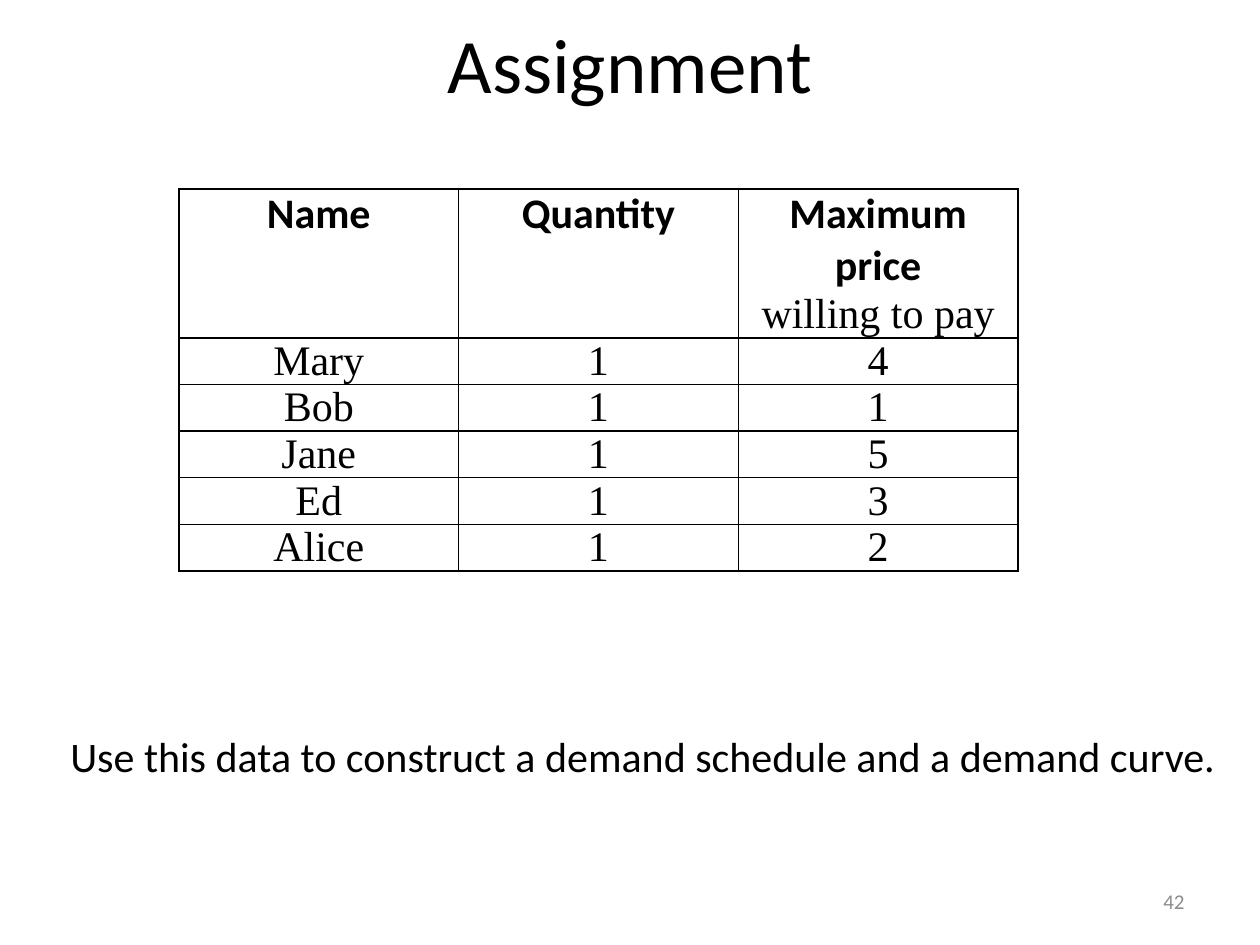
from dataclasses import dataclass

from lxml.etree import SubElement
from pptx import Presentation
from pptx.dml.color import RGBColor
from pptx.enum.text import MSO_ANCHOR as Anchor, PP_ALIGN as Align
from pptx.oxml.ns import qn
from pptx.util import Inches, Pt

# Content
TITLE = "Assignment"
HEADERS = [["Name"], ["Quantity"], ["Maximum price", "willing to pay"]]
BUYERS = [("Mary", 1, 4), ("Bob", 1, 1), ("Jane", 1, 5), ("Ed", 1, 3), ("Alice", 1, 2)]
TASK = "Use this data to construct a demand schedule and a demand curve."
PAGE_NUMBER = "42"


@dataclass(frozen=True)
class Theme:
    ink: str = "000000"
    muted: str = "8C8C8C"
    sans: str = "Calibri"
    serif: str = "Times New Roman"
    title_size: int = 44
    body_size: int = 24
    number_size: int = 12
    border_width: int = 1


THEME = Theme()


def write(paragraph, text, size=THEME.body_size, font=THEME.sans,
          color=THEME.ink, bold=False, align=Align.LEFT):
    paragraph.alignment = align
    run = paragraph.add_run()
    run.text = text
    run.font.size = Pt(size)
    run.font.name = font
    run.font.bold = bold
    run.font.color.rgb = RGBColor.from_string(color)


def add_label(slide, box, text, anchor=Anchor.TOP, wrap=True, **style):
    frame = slide.shapes.add_textbox(*map(Inches, box)).text_frame
    frame.word_wrap = wrap
    frame.vertical_anchor = anchor
    write(frame.paragraphs[0], text, **style)


def add_borders(cell):
    properties = cell._tc.get_or_add_tcPr()
    for position, side in enumerate(("a:lnL", "a:lnR", "a:lnT", "a:lnB")):
        line = properties.makeelement(qn(side), {"w": str(Pt(THEME.border_width))})
        properties.insert(position, line)
        fill = SubElement(line, qn("a:solidFill"))
        SubElement(fill, qn("a:srgbClr"), val=THEME.ink)


def fill_cell(cell, lines, header=False):
    cell.margin_left = cell.margin_right = Inches(0.07)
    cell.margin_top = cell.margin_bottom = 0
    cell.fill.background()
    add_borders(cell)
    frame = cell.text_frame
    for index, line in enumerate(lines):
        paragraph = frame.add_paragraph() if index else frame.paragraphs[0]
        heading = header and index == 0
        write(paragraph, line, font=THEME.sans if heading else THEME.serif,
              bold=heading, align=Align.CENTER)


def add_demand_table(slide):
    header_height, row_height, column_width = 0.72, 0.37, 2.22
    rows = [HEADERS] + [[[str(value)] for value in buyer] for buyer in BUYERS]
    table = slide.shapes.add_table(
        len(rows), len(HEADERS), Inches(1.42), Inches(1.5),
        Inches(column_width * len(HEADERS)),
        Inches(header_height + row_height * len(BUYERS))).table
    table.horz_banding = False
    for column in table.columns:
        column.width = Inches(column_width)
    for r, row in enumerate(rows):
        table.rows[r].height = Inches(row_height if r else header_height)
        for c, lines in enumerate(row):
            fill_cell(table.cell(r, c), lines, header=r == 0)


def main():
    deck = Presentation()
    deck.slide_width, deck.slide_height = Inches(10), Inches(7.5)
    slide = deck.slides.add_slide(deck.slide_layouts[5])

    # Title
    title = slide.shapes.title
    title.left, title.top, title.width, title.height = map(Inches, (0.5, 0, 9, 1))
    title.text_frame.vertical_anchor = Anchor.MIDDLE
    write(title.text_frame.paragraphs[0], TITLE, size=THEME.title_size, align=Align.CENTER)

    # Buyers and their prices
    add_demand_table(slide)

    # Page number and task
    add_label(slide, (7.17, 6.95, 2.33, 0.4), PAGE_NUMBER, anchor=Anchor.MIDDLE,
              size=THEME.number_size, color=THEME.muted, align=Align.RIGHT)
    add_label(slide, (0.46, 5.75, 9.37, 0.5), TASK, wrap=False)

    deck.save("out.pptx")


if __name__ == "__main__":
    main()
